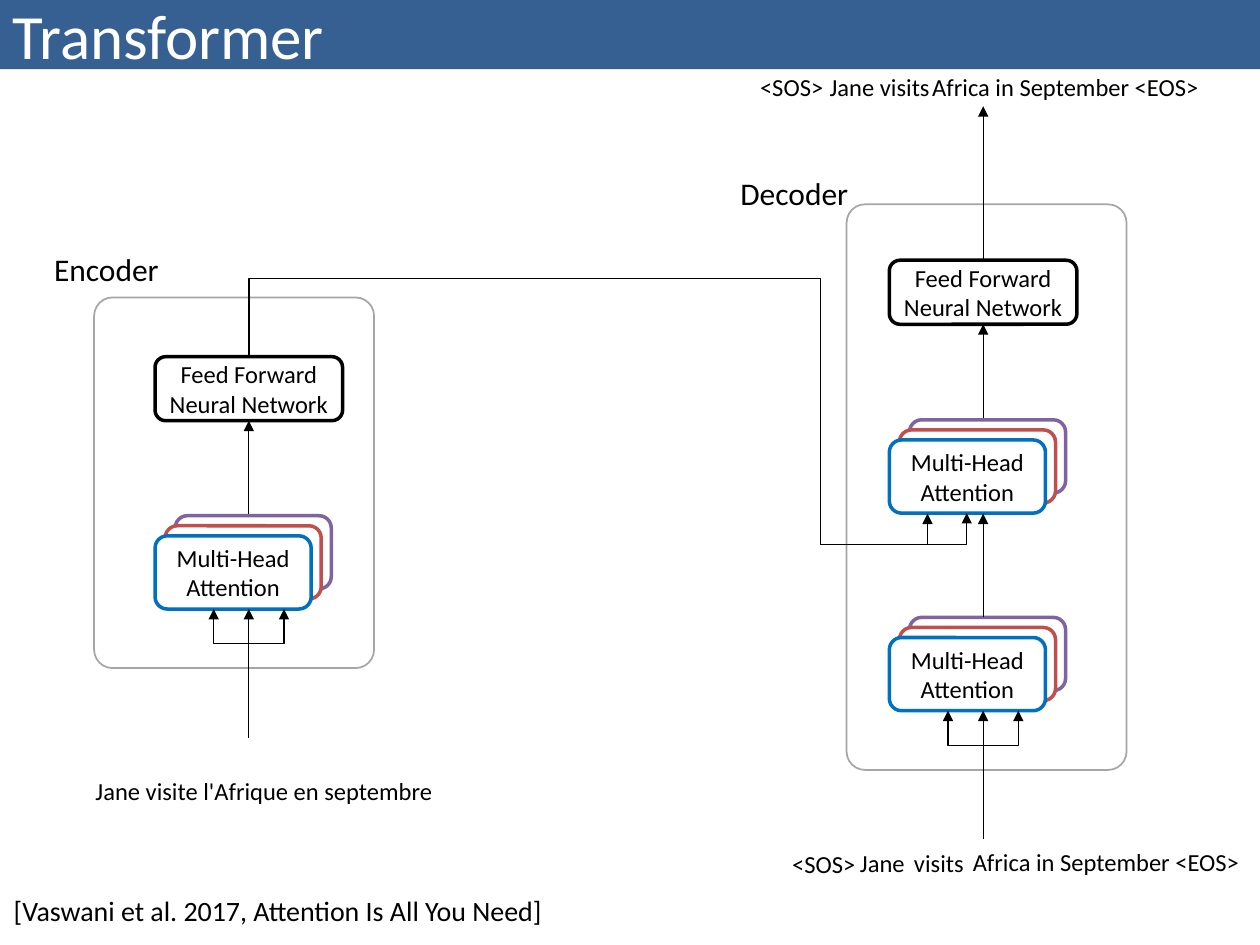
from lxml import etree
from pptx import Presentation
from pptx.dml.color import RGBColor
from pptx.enum import shapes, text
from pptx.oxml import ns
from pptx.util import Pt

COLORS = {
    "band": "376092", "white": "FFFFFF", "black": "000000", "frame": "A6A6A6",
    "purple": "8064A2", "red": "C0504D", "blue": "0070C0",
}
BLOCK_LEFT = {"encoder": 88.6, "decoder": 508.2}
FEED_WIDTH, FEED_HEIGHT = 107.2, 36.6
HEAD_WIDTH, HEAD_HEIGHT, HEAD_STEP = 89.2, 41.8, 5.75
AXIS = {name: left + FEED_WIDTH / 2 for name, left in BLOCK_LEFT.items()}

presentation = Presentation()
presentation.slide_width, presentation.slide_height = Pt(720), Pt(540)
slide = presentation.slides.add_slide(presentation.slide_layouts[5])


def add_box(left, top, width, height, line, weight, label=""):
    """Add a white rounded box with a coloured outline and a centred label."""
    shape = slide.shapes.add_shape(
        shapes.MSO_SHAPE.ROUNDED_RECTANGLE, Pt(left), Pt(top), Pt(width), Pt(height))
    shape.shadow.inherit = False
    shape.fill.solid()
    shape.fill.fore_color.rgb = RGBColor.from_string(COLORS["white"])
    shape.line.color.rgb = RGBColor.from_string(COLORS[line])
    shape.line.width = Pt(weight)
    if label:
        frame = shape.text_frame
        frame.text = label
        frame.margin_left = frame.margin_right = 0
        frame.vertical_anchor = text.MSO_ANCHOR.MIDDLE
        for paragraph in frame.paragraphs:
            paragraph.alignment = text.PP_ALIGN.CENTER
            paragraph.font.size = Pt(14)
            paragraph.font.name = "Calibri"
            paragraph.font.color.rgb = RGBColor.from_string(COLORS["black"])
    return shape


def add_arrow(start, end, bends=None):
    """Add an arrow; bends holds the adjust values of an elbow that leaves vertically."""
    (x1, y1), (x2, y2) = start, end
    kind = shapes.MSO_CONNECTOR.STRAIGHT
    if bends:
        # An elbow leaves sideways, so its box is laid out flat and turned by 270 degrees.
        kind = shapes.MSO_CONNECTOR.ELBOW
        width, height = abs(y2 - y1), abs(x2 - x1)
        left, top = (x1 + x2 - width) / 2, (y1 + y2 - height) / 2
        x1, y1, x2, y2 = left, top, left + width, top + height
    connector = slide.shapes.add_connector(kind, Pt(x1), Pt(y1), Pt(x2), Pt(y2))
    connector.line.color.rgb = RGBColor.from_string(COLORS["black"])
    connector.line.width = Pt(0.75)
    properties = connector._element.spPr
    if bends:
        transform = properties.find(ns.qn("a:xfrm"))
        transform.set("rot", str(270 * 60000))
        transform.set("flipH", str(int(end[1] > start[1])))
        transform.set("flipV", str(int(end[0] < start[0])))
        geometry = properties.find(ns.qn("a:prstGeom"))
        geometry.set("prst", f"bentConnector{len(bends) + 2}")
        guides = geometry.find(ns.qn("a:avLst"))
        if guides is None:
            guides = etree.SubElement(geometry, ns.qn("a:avLst"))
        for number, bend in enumerate(bends, 1):
            etree.SubElement(guides, ns.qn("a:gd"), name=f"adj{number}",
                             fmla=f"val {round(bend * 100000)}")
    etree.SubElement(properties.find(ns.qn("a:ln")), ns.qn("a:tailEnd"), type="triangle")
    etree.SubElement(properties, ns.qn("a:effectLst"))
    return connector


# Title band
title = slide.shapes.title
title.left, title.top, title.width, title.height = 0, 0, Pt(720), Pt(39.5)
title.fill.solid()
title.fill.fore_color.rgb = RGBColor.from_string(COLORS["band"])
title.text_frame.text = "Transformer"
title.text_frame.auto_size = text.MSO_AUTO_SIZE.NONE
title.text_frame.vertical_anchor = text.MSO_ANCHOR.MIDDLE
heading = title.text_frame.paragraphs[0]
heading.alignment = text.PP_ALIGN.LEFT
heading.font.size = Pt(36)
heading.font.name = "Calibri"
heading.font.color.rgb = RGBColor.from_string(COLORS["white"])

# Frames around the two halves
for left, top, height in [(53.8, 170, 211.8), (483.8, 116.8, 323.2)]:
    frame_box = add_box(left, top, 160, height, "frame", 1)
    frame_box.adjustments[0] = 0.066

# Feed forward networks, each fed from the attention stack below
feeds = {}
for name, top, source in [("encoder", 203.8, 301), ("decoder", 148.7, 240.5)]:
    feeds[name] = add_box(BLOCK_LEFT[name], top, FEED_WIDTH, FEED_HEIGHT, "black", 2,
                          "Feed Forward Neural Network")
    arrow = add_arrow((AXIS[name], source), (AXIS[name], top + FEED_HEIGHT))
    arrow.end_connect(feeds[name], 2)

# Attention stacks: three heads, the front one labelled
for name, top in [("encoder", 306.2), ("decoder", 251.4), ("decoder", 364.3)]:
    for depth, color in [(2, "purple"), (1, "red"), (0, "blue")]:
        shift = depth * HEAD_STEP
        add_box(BLOCK_LEFT[name] + shift, top - shift, HEAD_WIDTH, HEAD_HEIGHT, color, 2,
                "" if depth else "Multi-Head\nAttention")

# Inputs that fork into three below an attention stack
for name, source, bottom in [("encoder", 422, 348), ("decoder", 479.5, 406.1)]:
    axis = AXIS[name]
    add_arrow((axis, source), (axis, bottom))
    for side in (-20.1, 20.1):
        add_arrow((axis, bottom + 39.6), (axis + side, bottom), [0.5])

# Links into the upper decoder attention, and the output
add_arrow((AXIS["decoder"], 352.8), (AXIS["decoder"], 293.5))
add_arrow((AXIS["encoder"], 203.8), (552.4, 293.2), [-0.499, 0.796, 1.202])
add_arrow((530, 311.1), (530, 293.5))
output = add_arrow((AXIS["decoder"], 148.7), (AXIS["decoder"], 60.7))
output.begin_connect(feeds["decoder"], 0)

# Labels: words, left, top, width, height, size
labels = [
    ("Decoder", 416, 95.8, 77, 28.8, 18),
    ("Encoder", 23.8, 139.2, 75, 28.8, 18),
    ("Jane visite l'Afrique en septembre", 47.5, 440.2, 208.8, 24.2, 14),
    ("<SOS>", 427.2, 37.6, 51, 24.2, 14),
    ("Jane", 466.6, 37.8, 40.4, 24.2, 14),
    ("visits", 495.5, 37.8, 43, 24.2, 14),
    ("Africa in September <EOS>", 525.6, 37.8, 171.4, 24.2, 14),
    ("<SOS>", 445.6, 481.8, 51, 24.2, 14),
    ("Jane", 484, 481.2, 40.4, 24.2, 14),
    ("visits", 515, 480.8, 43, 24.2, 14),
    ("Africa in September <EOS>", 548.8, 480.5, 171.4, 24.2, 14),
    ("[Vaswani et al. 2017, Attention Is All You Need]", 0.8, 507.2, 719.2, 26.6, 16),
]
for words, left, top, width, height, size in labels:
    label_box = slide.shapes.add_textbox(Pt(left), Pt(top), Pt(width), Pt(height))
    label_box.text_frame.text = words
    label_box.text_frame.word_wrap = width > 700
    paragraph = label_box.text_frame.paragraphs[0]
    if words in ("Jane", "visits"):
        paragraph.alignment = text.PP_ALIGN.CENTER
    paragraph.font.size = Pt(size)
    paragraph.font.name = "Calibri"
    paragraph.font.color.rgb = RGBColor.from_string(COLORS["black"])

presentation.save("out.pptx")
